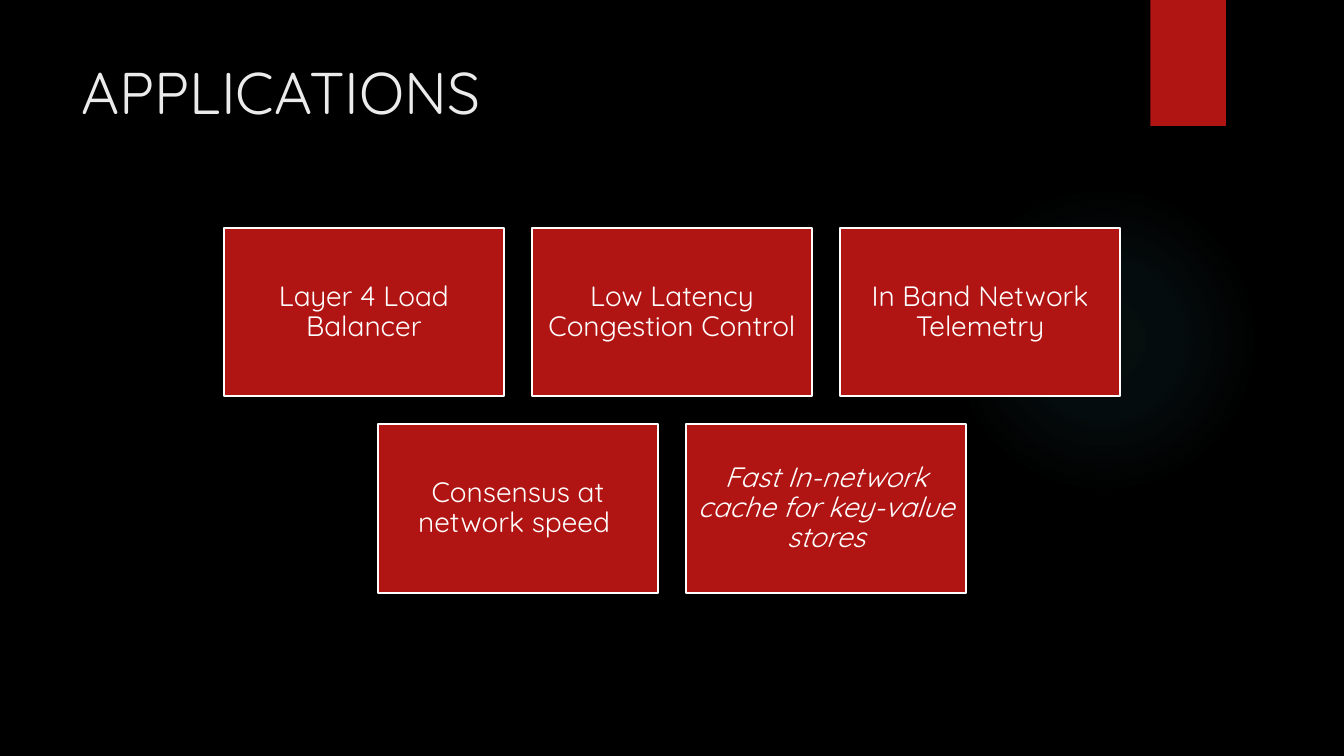
import lxml.etree
import pptx
import pptx.dml.color
import pptx.enum.shapes
import pptx.enum.text
import pptx.oxml
import pptx.oxml.ns
import pptx.util

Inches = pptx.util.Inches
Pt = pptx.util.Pt
RECTANGLE = pptx.enum.shapes.MSO_SHAPE.RECTANGLE
OVAL = pptx.enum.shapes.MSO_SHAPE.OVAL

FONT = "Quicksand"
BLACK, RED, WHITE, PALE, TEAL = "000000", "B01513", "FFFFFF", "EBEBEB", "50B9C1"

# Each application is its label and whether it is set in italics.
APPLICATION_ROWS = [
    [("Layer 4 Load Balancer", False),
     ("Low Latency Congestion Control", False),
     ("In Band Network Telemetry", False)],
    [("Consensus at network speed ", False),
     ("Fast In-network cache for key-value stores", True)],
]


def color(hex_string):
    return pptx.dml.color.RGBColor.from_string(hex_string)


def add_block(slide, kind, box, fill):
    """Add a flat shape without outline or shadow; box is in inches."""
    shape = slide.shapes.add_shape(kind, *map(Inches, box))
    shape.shadow.inherit = False
    shape.fill.solid()
    shape.fill.fore_color.rgb = color(fill)
    shape.line.fill.background()
    return shape


def add_glow(slide, box):
    """Add a circle that fades out radially from its centre."""
    glow = add_block(slide, OVAL, box, TEAL)
    stops = "".join(
        f'<a:gs pos="{position * 1000}"><a:srgbClr val="{TEAL}">'
        f'<a:alpha val="{opacity * 1000}"/></a:srgbClr></a:gs>'
        for position, opacity in [(0, 7), (36, 6), (69, 0), (100, 0)])
    gradient = pptx.oxml.parse_xml(
        f'<a:gradFill {pptx.oxml.ns.nsdecls("a")} rotWithShape="1">'
        f'<a:gsLst>{stops}</a:gsLst><a:path path="circle">'
        '<a:fillToRect l="50000" t="50000" r="50000" b="50000"/>'
        '</a:path></a:gradFill>')
    properties = glow.element.spPr
    solid_fill = properties.find(pptx.oxml.ns.qn("a:solidFill"))
    properties.replace(solid_fill, gradient)


def add_title(slide, box, text):
    title = slide.shapes.title
    title.left, title.top, title.width, title.height = map(Inches, box)
    frame = title.text_frame
    frame.text = text
    frame.word_wrap = True
    frame.auto_size = pptx.enum.text.MSO_AUTO_SIZE.NONE
    frame.vertical_anchor = pptx.enum.text.MSO_ANCHOR.TOP
    paragraph = frame.paragraphs[0]
    paragraph.alignment = pptx.enum.text.PP_ALIGN.LEFT
    paragraph.font.name = FONT
    paragraph.font.size = Pt(42)
    paragraph.font.color.rgb = color(PALE)


def add_card(slide, box, text, italic):
    card = add_block(slide, RECTANGLE, box, RED)
    card.line.color.rgb = color(WHITE)
    card.line.width = Pt(1.5)
    frame = card.text_frame
    frame.text = text
    frame.word_wrap = True
    frame.vertical_anchor = pptx.enum.text.MSO_ANCHOR.MIDDLE
    frame.margin_left = frame.margin_right = Inches(0.08)
    frame.margin_top = frame.margin_bottom = Inches(0.08)
    paragraph = frame.paragraphs[0]
    paragraph.alignment = pptx.enum.text.PP_ALIGN.CENTER
    paragraph.line_spacing = 0.9
    paragraph.font.name = FONT
    paragraph.font.size = Pt(20)
    paragraph.font.italic = italic
    paragraph.font.color.rgb = color(WHITE)


def add_card_grid(slide, box, rows):
    """Fill the box with centred rows of cards, a tenth of a card apart."""
    left, top, width, height = box
    columns = max(len(row) for row in rows)
    card_width = width / (columns + 0.1 * (columns - 1))
    gap = 0.1 * card_width
    card_height = (height - gap * (len(rows) - 1)) / len(rows)
    for row_index, row in enumerate(rows):
        row_width = len(row) * (card_width + gap) - gap
        row_left = left + (width - row_width) / 2
        card_top = top + row_index * (card_height + gap)
        for column, (text, italic) in enumerate(row):
            card_left = row_left + column * (card_width + gap)
            add_card(slide, (card_left, card_top, card_width, card_height),
                     text, italic)


def add_applications_slide(presentation):
    slide = presentation.slides.add_slide(presentation.slide_layouts[5])
    slide.background.fill.solid()
    slide.background.fill.fore_color.rgb = color(BLACK)
    add_glow(slide, (9.41, 1.83, 3.08, 3.08))
    add_block(slide, RECTANGLE, (11.41, 0, 0.75, 1.25), RED)
    add_title(slide, (0.71, 0.5, 10.29, 1.53), "APPLICATIONS")
    add_card_grid(slide, (2.22, 2.26, 8.89, 3.62), APPLICATION_ROWS)


def main():
    presentation = pptx.Presentation()
    presentation.slide_width = Inches(13.33)
    presentation.slide_height = Inches(7.5)
    add_applications_slide(presentation)
    presentation.save("out.pptx")


if __name__ == "__main__":
    main()
